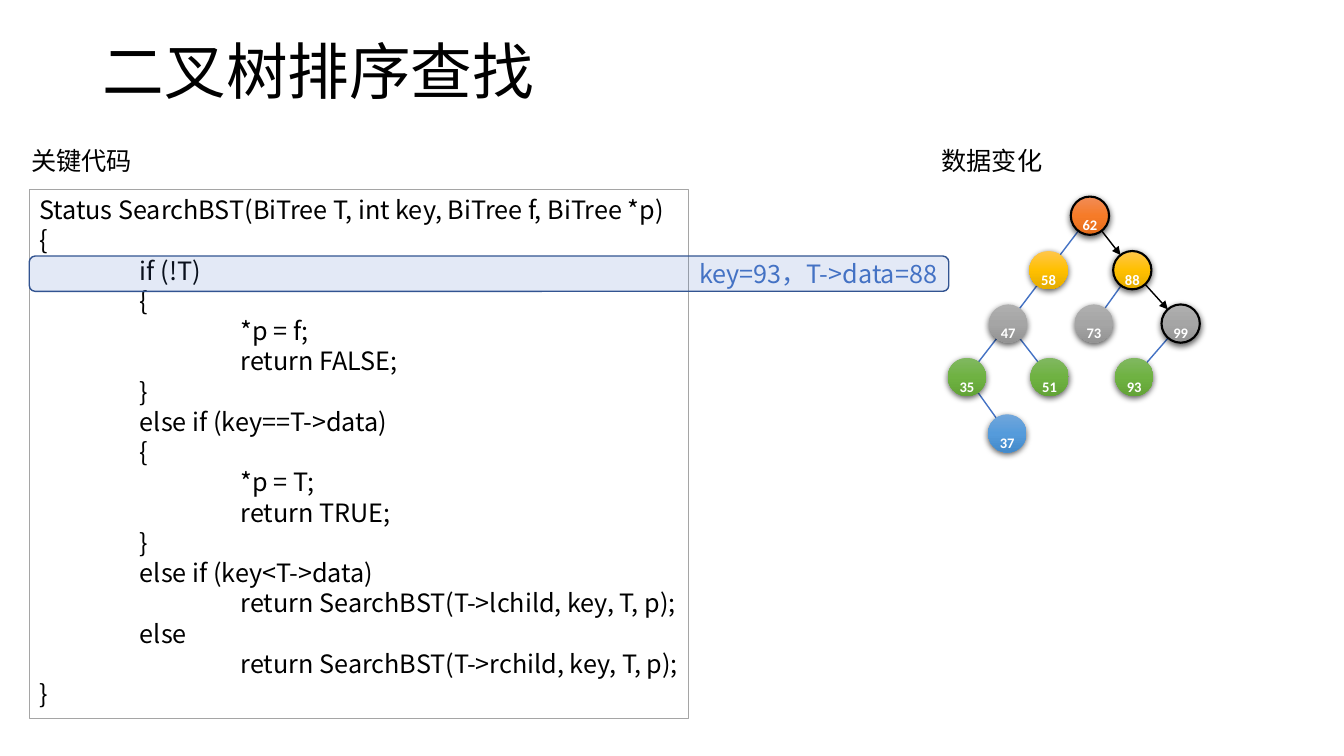
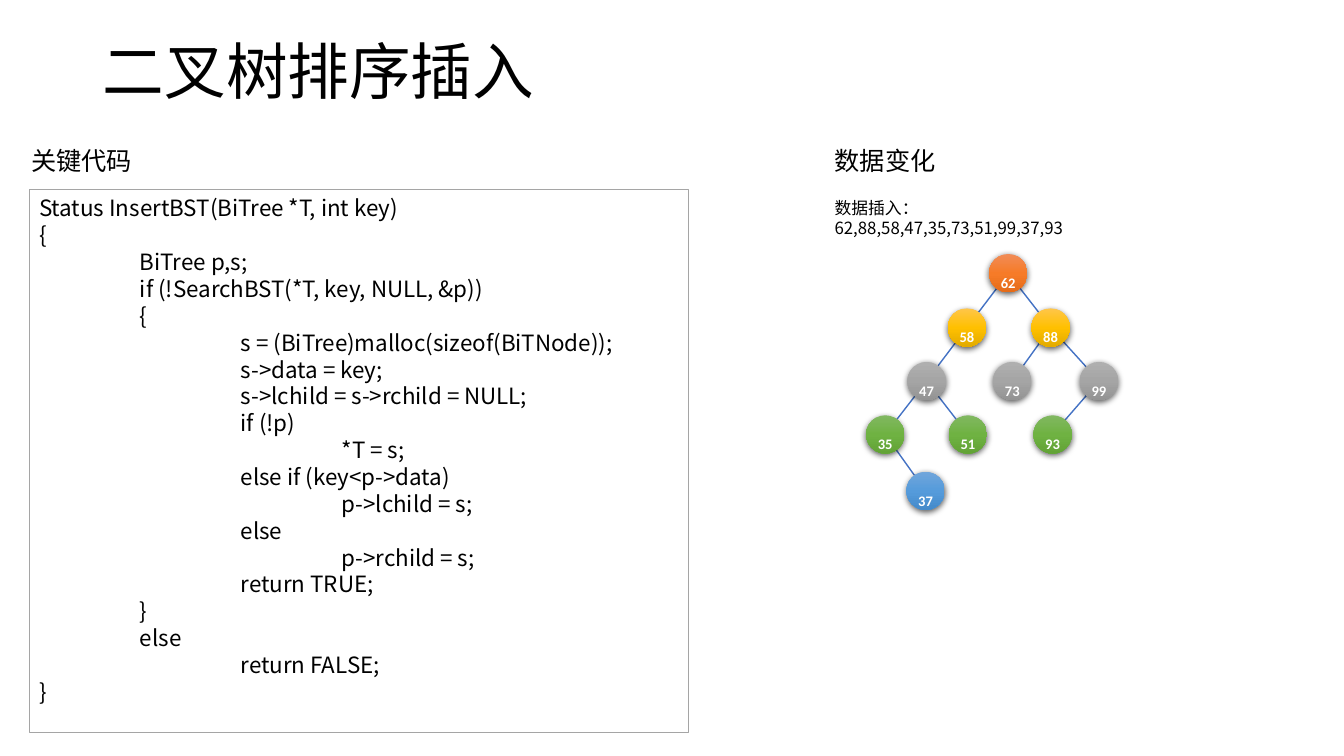
from dataclasses import dataclass
from math import hypot
from typing import Optional

from lxml.etree import SubElement
from pptx import Presentation
from pptx.dml.color import RGBColor
from pptx.enum.shapes import MSO_CONNECTOR, MSO_SHAPE
from pptx.enum.text import MSO_ANCHOR, MSO_AUTO_SIZE, PP_ALIGN
from pptx.oxml.ns import qn
from pptx.util import Inches, Pt

# Shared style
TEXT_FONT, NUMBER_FONT = "Noto Sans CJK SC", "Calibri"
BLACK, WHITE, GRAY, BLUE, DARK_BLUE = "000000", "FFFFFF", "A5A5A5", "4472C4", "325491"
NODE_SIZE = 0.38
LEVEL_TOPS = (0, 0.54, 1.07, 1.6, 2.16)
LEVEL_GRADIENTS = (
    ("F18C57", "F67B28", "E56C19"),
    ("FFC64B", "FFC000", "E3AB00"),
    ("AFAFAF", "A5A5A5", "939393"),
    ("81B861", "6FB242", "62A336"),
    ("71A6DB", "559BDB", "448ACA"),
)

SEARCH_CODE = """\
Status SearchBST(BiTree T, int key, BiTree f, BiTree *p)
{
    if (!T)
    {
        *p = f;
        return FALSE;
    }
    else if (key==T->data)
    {
        *p = T;
        return TRUE;
    }
    else if (key<T->data)
        return SearchBST(T->lchild, key, T, p);
    else
        return SearchBST(T->rchild, key, T, p);
}"""

INSERT_CODE = """\
Status InsertBST(BiTree *T, int key)
{
    BiTree p,s;
    if (!SearchBST(*T, key, NULL, &p))
    {
        s = (BiTree)malloc(sizeof(BiTNode));
        s->data = key;
        s->lchild = s->rchild = NULL;
        if (!p)
            *T = s;
        else if (key<p->data)
            p->lchild = s;
        else
            p->rchild = s;
        return TRUE;
    }
    else
        return FALSE;
}"""


@dataclass(frozen=True)
class Node:
    value: int
    x: float
    level: int
    parent: Optional[int] = None


@dataclass(frozen=True)
class Lesson:
    title: str
    code: str
    code_size: int
    code_height: float
    data_left: float
    tree_left: float
    tree_top: float
    visited: tuple = ()
    highlight: str = ""
    data_note: str = ""


TREE = (
    Node(62, 1.22, 0),
    Node(58, 0.81, 1, 62),
    Node(47, 0.41, 2, 58),
    Node(35, 0, 3, 47),
    Node(88, 1.64, 1, 62),
    Node(99, 2.12, 2, 88),
    Node(73, 1.26, 2, 88),
    Node(51, 0.82, 3, 47),
    Node(37, 0.4, 4, 35),
    Node(93, 1.66, 3, 99),
)

LESSONS = (
    Lesson("二叉树排序查找", SEARCH_CODE, 18, 5.25, 9.24, 9.4, 1.95,
           visited=(62, 88, 99), highlight="key=93，T->data=88"),
    Lesson("二叉树排序插入", INSERT_CODE, 16, 5.39, 8.18, 8.59, 2.52,
           data_note="数据插入：62,88,58,47,35,73,51,99,37,93"),
)


def color(value: str) -> RGBColor:
    return RGBColor.from_string(value)


def box(left: float, top: float, width: float, height: float) -> tuple:
    return tuple(Inches(length) for length in (left, top, width, height))


def add_run(paragraph, text: str, size: float, text_color: str = BLACK, font: str = TEXT_FONT):
    run = paragraph.add_run()
    run.text = text
    run.font.size = Pt(size)
    run.font.name = font
    run.font.color.rgb = color(text_color)
    SubElement(run.font._element, qn("a:ea")).set("typeface", font)
    return run


def add_text(shapes, place: tuple, text: str, size: float, wrap: bool = False) -> None:
    frame = shapes.add_textbox(*place).text_frame
    frame.word_wrap = wrap
    add_run(frame.paragraphs[0], text, size)


def add_panel(shapes, kind, place: tuple, fill: str, line: str):
    shape = shapes.add_shape(kind, *place)
    shape.shadow.inherit = False
    shape.fill.solid()
    shape.fill.fore_color.rgb = color(fill)
    shape.line.color.rgb = color(line)
    shape.line.width = Pt(1)
    shape.text_frame.word_wrap = True
    return shape


def add_title(slide, text: str) -> None:
    title = slide.shapes.title
    title.left, title.top, title.width, title.height = box(0.92, 0.01, 11.5, 1.45)
    frame = title.text_frame
    frame.auto_size = MSO_AUTO_SIZE.NONE
    frame.vertical_anchor = MSO_ANCHOR.MIDDLE
    paragraph = frame.paragraphs[0]
    paragraph.alignment = PP_ALIGN.LEFT
    paragraph.line_spacing = 0.9
    add_run(paragraph, text, 44)


def add_code(slide, lesson: Lesson) -> None:
    panel = add_panel(slide.shapes, MSO_SHAPE.RECTANGLE,
                      box(0.29, 1.88, 6.54, lesson.code_height), WHITE, GRAY)
    frame = panel.text_frame
    frame.vertical_anchor = MSO_ANCHOR.TOP
    for index, line in enumerate(lesson.code.splitlines()):
        paragraph = frame.add_paragraph() if index else frame.paragraphs[0]
        paragraph.alignment = PP_ALIGN.LEFT
        statement = line.lstrip()
        depth = (len(line) - len(statement)) // 4
        properties = paragraph._p.get_or_add_pPr()
        properties.set("marL", str(Inches(depth)))
        properties.set("indent", "0")
        add_run(paragraph, statement, lesson.code_size)


def add_highlight(slide, text: str) -> None:
    bar = add_panel(slide.shapes, MSO_SHAPE.ROUNDED_RECTANGLE,
                    box(0.29, 2.54, 9.12, 0.35), BLUE, DARK_BLUE)
    fill_color = bar._element.spPr.find(qn("a:solidFill")).find(qn("a:srgbClr"))
    SubElement(fill_color, qn("a:alpha")).set("val", "15000")
    bar.text_frame.vertical_anchor = MSO_ANCHOR.MIDDLE
    paragraph = bar.text_frame.paragraphs[0]
    paragraph.alignment = PP_ALIGN.RIGHT
    add_run(paragraph, text, 18, BLUE)


def node_center(node: Node, lesson: Lesson) -> tuple:
    radius = NODE_SIZE / 2
    return (lesson.tree_left + node.x + radius,
            lesson.tree_top + LEVEL_TOPS[node.level] + radius)


def add_edge(slide, parent: Node, child: Node, lesson: Lesson) -> None:
    """Join the parent's centre to the rim of the child."""
    start_x, start_y = node_center(parent, lesson)
    center_x, center_y = node_center(child, lesson)
    length = hypot(center_x - start_x, center_y - start_y)
    share = 1 - NODE_SIZE / 2 / length
    end_x = start_x + (center_x - start_x) * share
    end_y = start_y + (center_y - start_y) * share
    edge = slide.shapes.add_connector(
        MSO_CONNECTOR.STRAIGHT, *box(start_x, start_y, end_x, end_y))
    visited = child.value in lesson.visited
    edge.line.color.rgb = color(BLACK if visited else BLUE)
    edge.line.width = Pt(1)
    if visited:
        SubElement(edge.line._get_or_add_ln(), qn("a:tailEnd")).set("type", "triangle")
    SubElement(edge._element.spPr, qn("a:effectLst"))


def style_ball(ball, gradient: tuple) -> None:
    # Three-stop vertical gradient
    ball.fill.gradient()
    ball.fill.gradient_angle = 270
    properties = ball._element.spPr
    stops = properties.find(qn("a:gradFill")).find(qn("a:gsLst"))
    stops.clear()
    for position, stop_color in zip((0, 50000, 100000), gradient):
        stop = SubElement(stops, qn("a:gs"), pos=str(position))
        SubElement(stop, qn("a:srgbClr"), val=stop_color)
    # Soft shadow below
    ball.shadow.inherit = False
    shadow = SubElement(properties.find(qn("a:effectLst")), qn("a:outerShdw"),
                        blurRad=str(Pt(4.5)), dist=str(Pt(1.5)), dir="5400000",
                        algn="ctr", rotWithShape="0")
    shadow_color = SubElement(shadow, qn("a:srgbClr"), val=BLACK)
    SubElement(shadow_color, qn("a:alpha"), val="63000")


def add_node(slide, node: Node, lesson: Lesson) -> None:
    left = lesson.tree_left + node.x
    top = lesson.tree_top + LEVEL_TOPS[node.level]
    group = slide.shapes.add_group_shape()
    ball = group.shapes.add_shape(MSO_SHAPE.OVAL, *box(left, top, NODE_SIZE, NODE_SIZE))
    if node.value in lesson.visited:
        ball.line.color.rgb = color(BLACK)
        ball.line.width = Pt(1.5)
    else:
        ball.line.fill.background()
    style_ball(ball, LEVEL_GRADIENTS[node.level])
    # Number, set as a subscript
    frame = group.shapes.add_textbox(*box(left, top - 0.02, NODE_SIZE, 0.3)).text_frame
    frame.word_wrap = True
    frame.margin_left = frame.margin_right = 0
    paragraph = frame.paragraphs[0]
    paragraph.alignment = PP_ALIGN.CENTER
    run = add_run(paragraph, str(node.value), 18, WHITE, NUMBER_FONT)
    run.font.bold = True
    run.font._element.set("baseline", "-25000")


def add_tree(slide, lesson: Lesson) -> None:
    nodes = {node.value: node for node in TREE}
    for node in TREE:
        if node.parent is not None:
            add_edge(slide, nodes[node.parent], node, lesson)
    for node in TREE:
        add_node(slide, node, lesson)


def add_lesson(presentation, lesson: Lesson) -> None:
    slide = presentation.slides.add_slide(presentation.slide_layouts[5])
    add_title(slide, lesson.title)
    add_code(slide, lesson)
    if lesson.highlight:
        add_highlight(slide, lesson.highlight)
    for left, caption in ((0.21, "关键代码"), (lesson.data_left, "数据变化")):
        add_text(slide.shapes, box(left, 1.39, 1.21, 0.4), caption, 18)
    add_tree(slide, lesson)
    if lesson.data_note:
        add_text(slide.shapes, box(lesson.data_left, 1.91, 3.16, 0.5),
                 lesson.data_note, 12, wrap=True)


def main() -> None:
    presentation = Presentation()
    presentation.slide_width, presentation.slide_height = Inches(13.33), Inches(7.5)
    for lesson in LESSONS:
        add_lesson(presentation, lesson)
    presentation.save("out.pptx")


if __name__ == "__main__":
    main()
